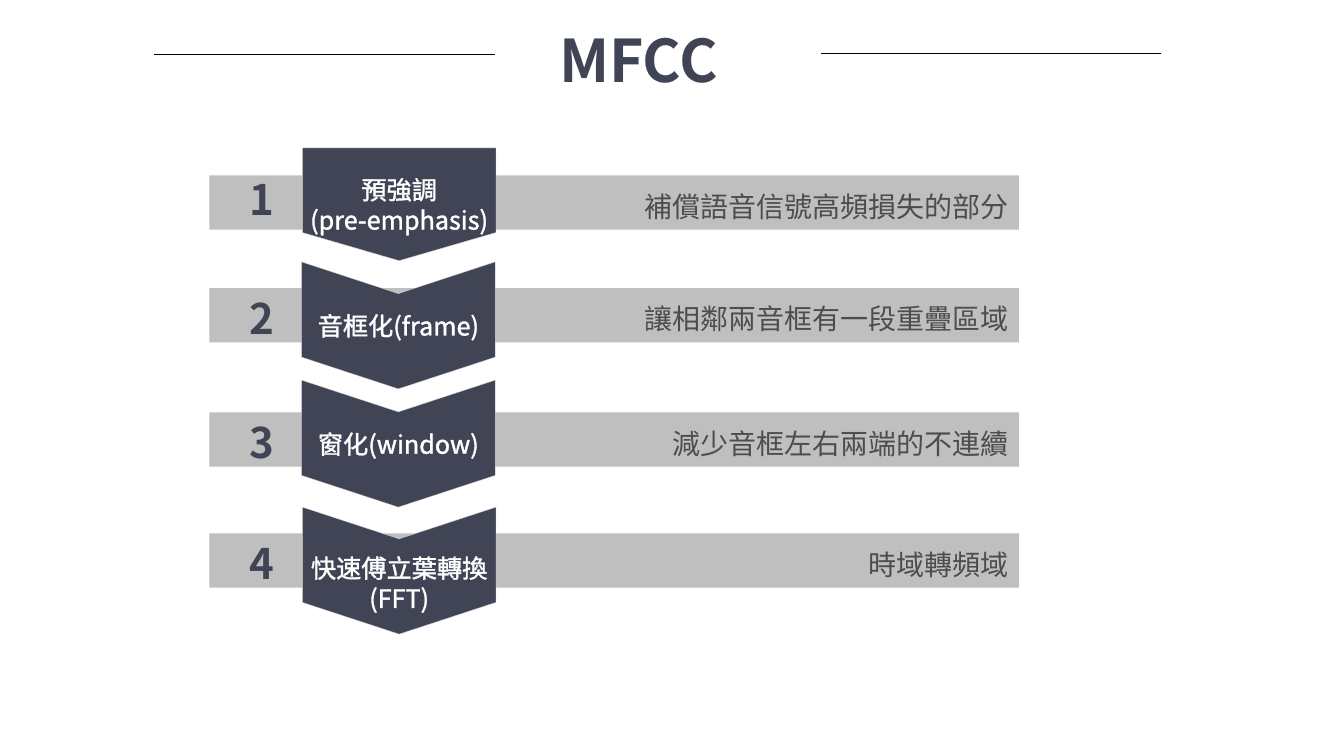
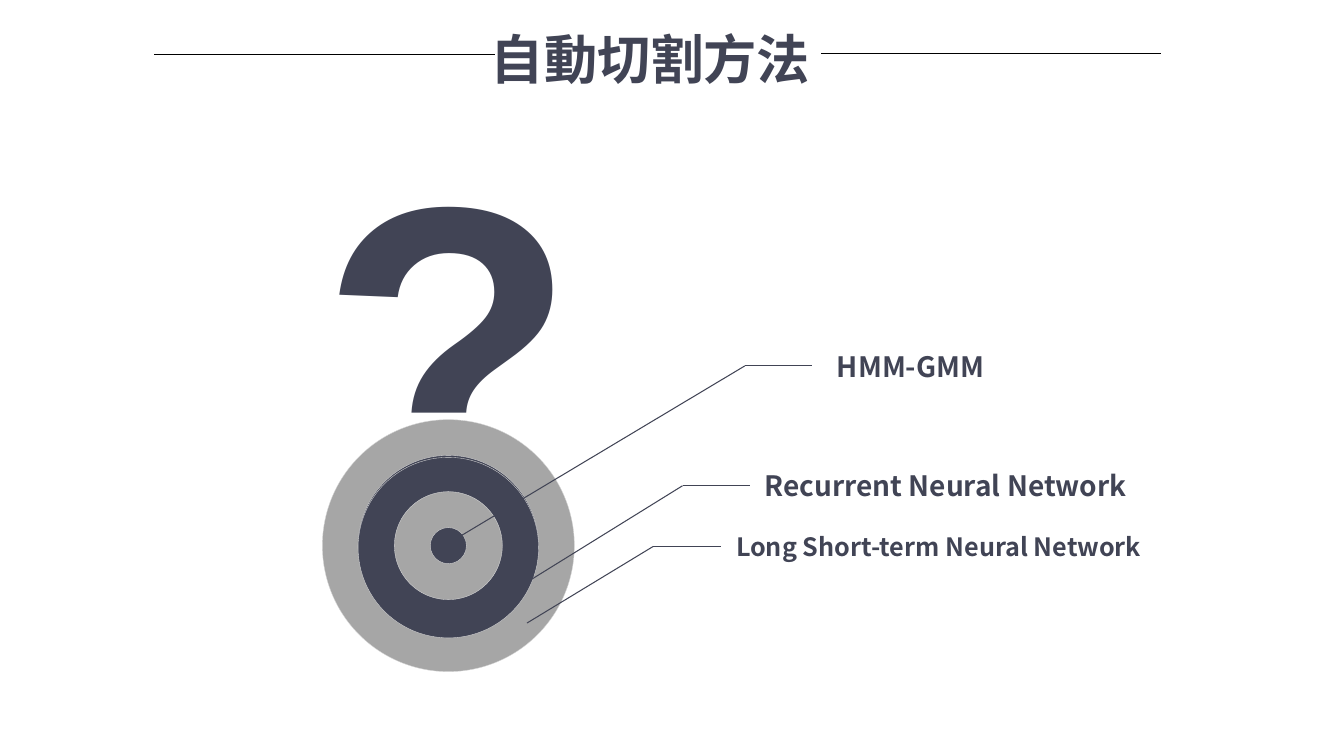
from lxml import etree
from pptx import Presentation
from pptx.enum.shapes import MSO_CONNECTOR, MSO_SHAPE
from pptx.enum.text import MSO_ANCHOR, MSO_AUTO_SIZE, PP_ALIGN
from pptx.dml.color import RGBColor
from pptx.oxml.ns import qn
from pptx.util import Cm, Pt

STRAIGHT = MSO_CONNECTOR.STRAIGHT
RECT, OVAL = MSO_SHAPE.RECTANGLE, MSO_SHAPE.OVAL
TOP, MIDDLE = MSO_ANCHOR.TOP, MSO_ANCHOR.MIDDLE
LEFT, CENTER, RIGHT = PP_ALIGN.LEFT, PP_ALIGN.CENTER, PP_ALIGN.RIGHT

COLORS = {
    "navy": "414455", "bar": "BFBFBF", "ring": "A6A6A6", "edge": "D7D7D7",
    "body": "4D4D4D", "white": "FFFFFF", "black": "000000",
}
FONT = "Noto Sans CJK SC"
INSETS = (0.25, 0.13, 0.25, 0.13)  # left, top, right, bottom in cm

# Lines beside the title: x, y, length in cm
TITLE_RULES = [(3.89, 1.37, 8.58), (20.7, 1.35, 8.57)]

# Title text, size, box in cm
MFCC_TITLE = ("MFCC", 42, (13.84, 0.46, 5.49, 2.06))
METHODS_TITLE = ("自動切割方法", 38, (12.12, 0.53, 8.86, 1.88))

STEPS = [
    {"name": ["預強調", "(pre-emphasis)"], "purpose": "補償語音信號高頻損失的部分",
     "bar": 4.42, "number": 4.24, "arrow": (7.62, 3.73), "notch": 0, "side": 2.13, "tip": 0.71},
    {"name": ["音框化(frame)"], "purpose": "讓相鄰兩音框有一段重疊區域",
     "bar": 7.26, "number": 7.24, "arrow": (7.6, 6.6)},
    {"name": ["窗化(window)"], "purpose": "減少音框左右兩端的不連續",
     "bar": 10.39, "number": 10.36, "arrow": (7.6, 9.58)},
    {"name": ["快速傅立葉轉換(FFT)"], "purpose": "時域轉頻域",
     "bar": 13.44, "number": 13.41, "arrow": (7.62, 12.78), "inset_top": 0.74},
]
ARROW_WIDTH, ARROW_SIDE, ARROW_TIP = 4.88, 2.4, 0.8

# Target rings: diameter, downward shift, colour
TARGET_CENTER = (11.3, 13.75)
RINGS = [(6.35, 0, "ring"), (4.55, 0, "navy"), (4.55, 0.05, "navy"),
         (2.72, 0, "ring"), (0.91, 0, "navy")]

# Method, size, label box, elbow of its leader, leader's end on the target
METHODS = [
    ("HMM-GMM", 20, (20.32, 8.51, 5.26, 1.45), (18.77, 9.22), (11.25, 13.72)),
    ("Recurrent Neural Network", 20, (18.85, 11.66, 9.96, 1.12), (17.2, 12.24), (12.65, 15.06)),
    ("Long Short-term Neural Network", 18, (18.03, 13.26, 11.25, 1.02), (16.46, 13.77), (13.28, 15.7)),
]
LEADER_FLAT = 1.7


def rgb(color):
    return RGBColor.from_string(COLORS[color])


def cm(values):
    return [Cm(value) for value in values]


def write(shape, lines, size, color, align=CENTER, anchor=MIDDLE, bold=False,
          font=FONT, insets=INSETS, wrap=True, spacing=None, outline=None):
    """Fill a shape with one formatted paragraph per line."""
    frame = shape.text_frame
    frame.auto_size = MSO_AUTO_SIZE.NONE
    frame.word_wrap = wrap
    frame.vertical_anchor = anchor
    frame.margin_left, frame.margin_top, frame.margin_right, frame.margin_bottom = cm(insets)
    for index, line in enumerate(lines):
        paragraph = frame.add_paragraph() if index else frame.paragraphs[0]
        paragraph.alignment = align
        if spacing:
            paragraph.line_spacing = spacing
        run = paragraph.add_run()
        run.text = line
        run.font.size, run.font.bold, run.font.name = Pt(size), bold, font
        run.font.color.rgb = rgb(color)
        properties = run.font._element
        properties.find(qn("a:latin")).addnext(
            etree.Element(qn("a:ea"), typeface=font))
        if outline:
            edge = etree.Element(qn("a:ln"), w=str(Pt(0.75)))
            fill = etree.SubElement(edge, qn("a:solidFill"))
            etree.SubElement(fill, qn("a:srgbClr"), val=COLORS[outline])
            properties.insert(0, edge)


def paint(shape, fill, edge=None):
    shape.shadow.inherit = False
    shape.fill.solid()
    shape.fill.fore_color.rgb = rgb(fill)
    if edge:
        shape.line.color.rgb = rgb(edge)
        shape.line.width = Pt(0.25)
    else:
        shape.line.fill.background()


def add_line(slide, start, end, color, width):
    line = slide.shapes.add_connector(STRAIGHT, *cm(start + end))
    line.line.color.rgb = rgb(color)
    line.line.width = Pt(width)
    etree.SubElement(line.element.spPr, qn("a:effectLst"))
    return line


def add_titled_slide(prs, layout, title):
    text, size, box = title
    slide = prs.slides.add_slide(layout)
    heading = slide.shapes.title
    heading.left, heading.top, heading.width, heading.height = cm(box)
    write(heading, [text], size, "navy", LEFT, TOP, bold=True)
    return slide


def add_title_rules(slide, layout):
    """Place the title lines on the layout, so that every slide shows them."""
    for x, y, length in TITLE_RULES:
        rule = add_line(slide, (x, y), (x + length, y), "black", 0.5)
        layout.shapes.element.append(rule.element)


def add_arrow(slide, step):
    x, y = step["arrow"]
    notch, tip = step.get("notch", ARROW_TIP), step.get("tip", ARROW_TIP)
    side = step.get("side", ARROW_SIDE)
    middle, right = x + ARROW_WIDTH / 2, x + ARROW_WIDTH
    outline = [(middle, y + notch), (right, y), (right, y + side),
               (middle, y + side + tip), (x, y + side)]
    builder = slide.shapes.build_freeform(Cm(x), Cm(y))
    builder.add_line_segments([cm(point) for point in outline], close=True)
    arrow = builder.convert_to_shape()
    paint(arrow, "navy", "edge")
    write(arrow, step["name"], 18, "white", outline="white",
          insets=(0, step.get("inset_top", 0.13), 0, 0.13))


def build_steps(slide):
    for number, step in enumerate(STEPS, 1):
        bar = slide.shapes.add_shape(RECT, *cm((5.28, step["bar"], 20.4, 1.37)))
        paint(bar, "bar")
        write(bar, [step["purpose"]], 20, "body", RIGHT, spacing=1.2)
        digit = slide.shapes.add_textbox(*cm((5.59, step["number"], 2.03, 1.55)))
        write(digit, [str(number)], 30, "navy", anchor=TOP, bold=True)
    for step in STEPS:
        add_arrow(slide, step)


def build_methods(slide):
    question = slide.shapes.add_textbox(*cm((7.82, 1.83, 7.04, 13.08)))
    write(question, ["?"], 300, "navy", LEFT, bold=True, font="Arial", wrap=False)
    center_x, center_y = TARGET_CENTER
    for diameter, shift, color in RINGS:
        corner = (center_x - diameter / 2, center_y - diameter / 2 + shift)
        ring = slide.shapes.add_shape(OVAL, *cm(corner + (diameter, diameter)))
        paint(ring, color, "edge")
    for method, size, box, elbow, target in METHODS:
        add_line(slide, elbow, (elbow[0] + LEADER_FLAT, elbow[1]), "navy", 0.75)
        add_line(slide, elbow, target, "navy", 0.75)
        label = slide.shapes.add_textbox(*cm(box))
        write(label, [method], size, "navy", bold=True, insets=(0, 0, 0, 0))


def main():
    prs = Presentation()
    prs.slide_width, prs.slide_height = Cm(33.87), Cm(19.05)
    title_only = prs.slide_layouts[5]
    mfcc = add_titled_slide(prs, title_only, MFCC_TITLE)
    add_title_rules(mfcc, title_only)
    build_steps(mfcc)
    build_methods(add_titled_slide(prs, title_only, METHODS_TITLE))
    prs.save("out.pptx")


if __name__ == "__main__":
    main()
